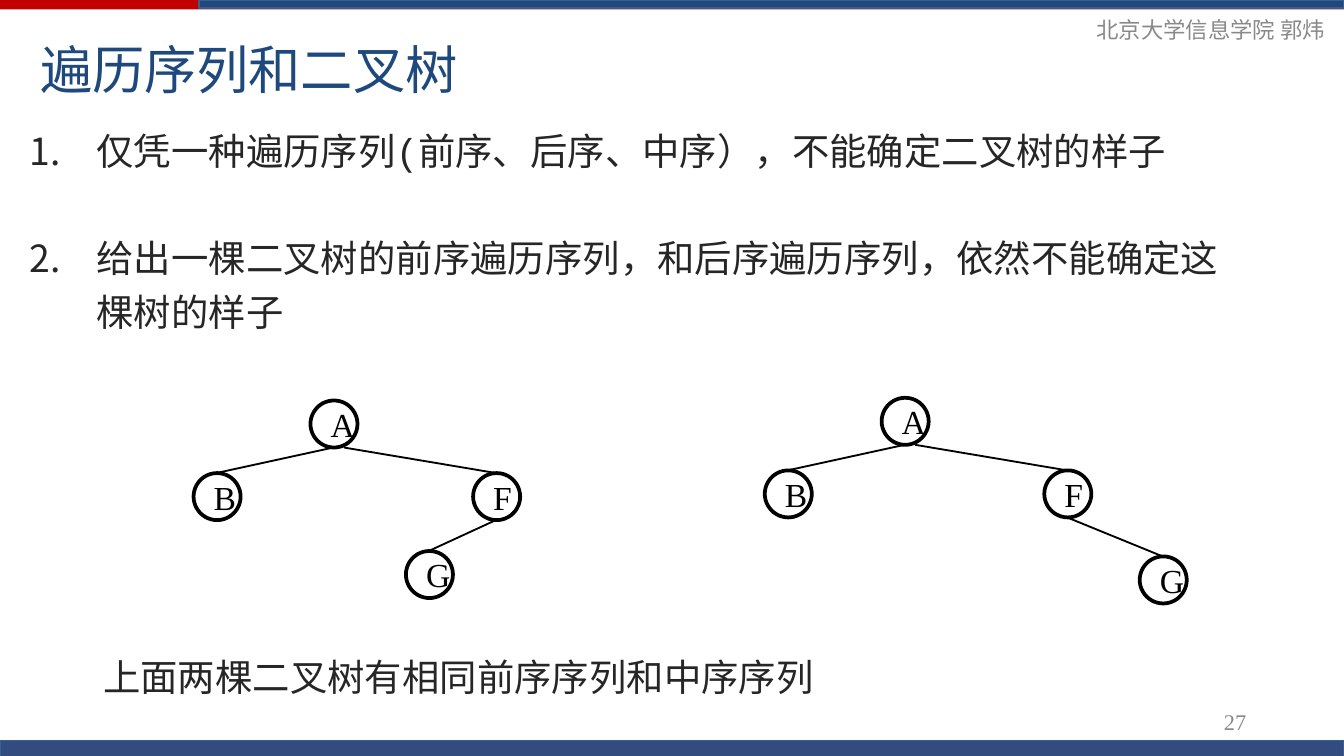
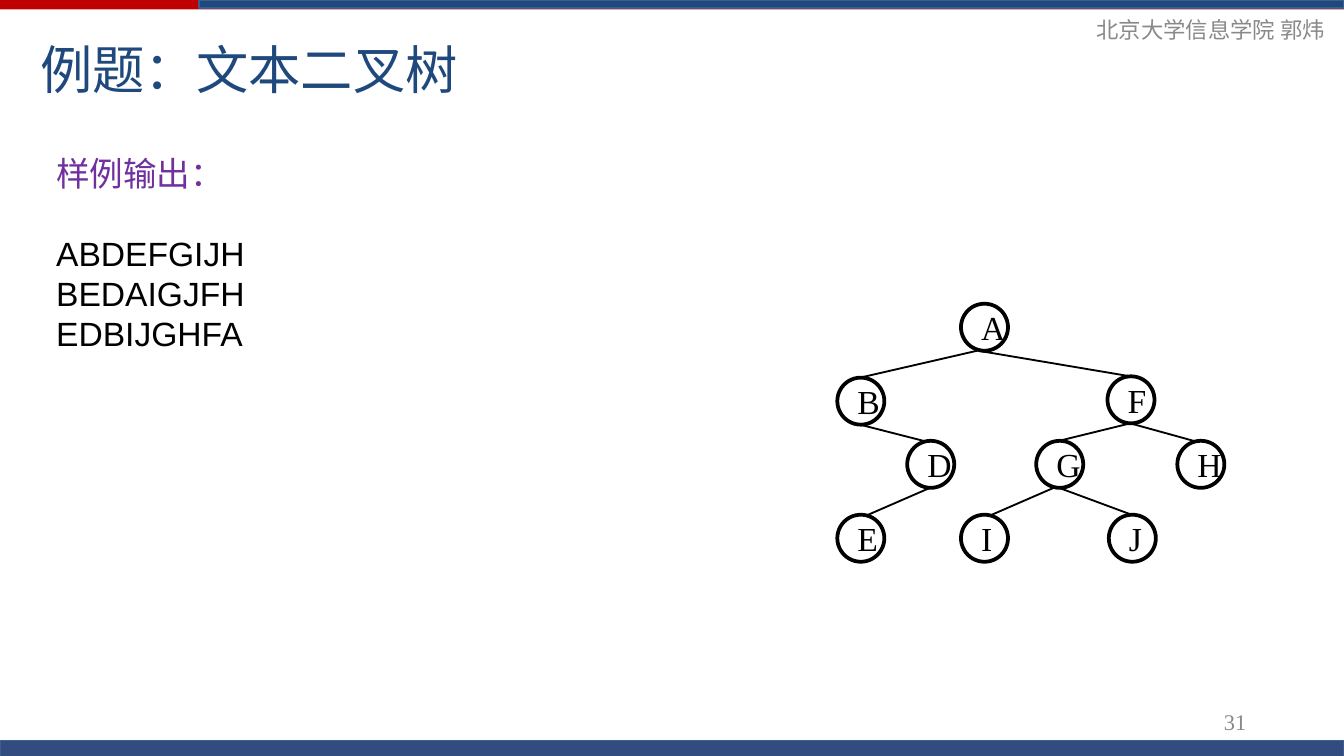
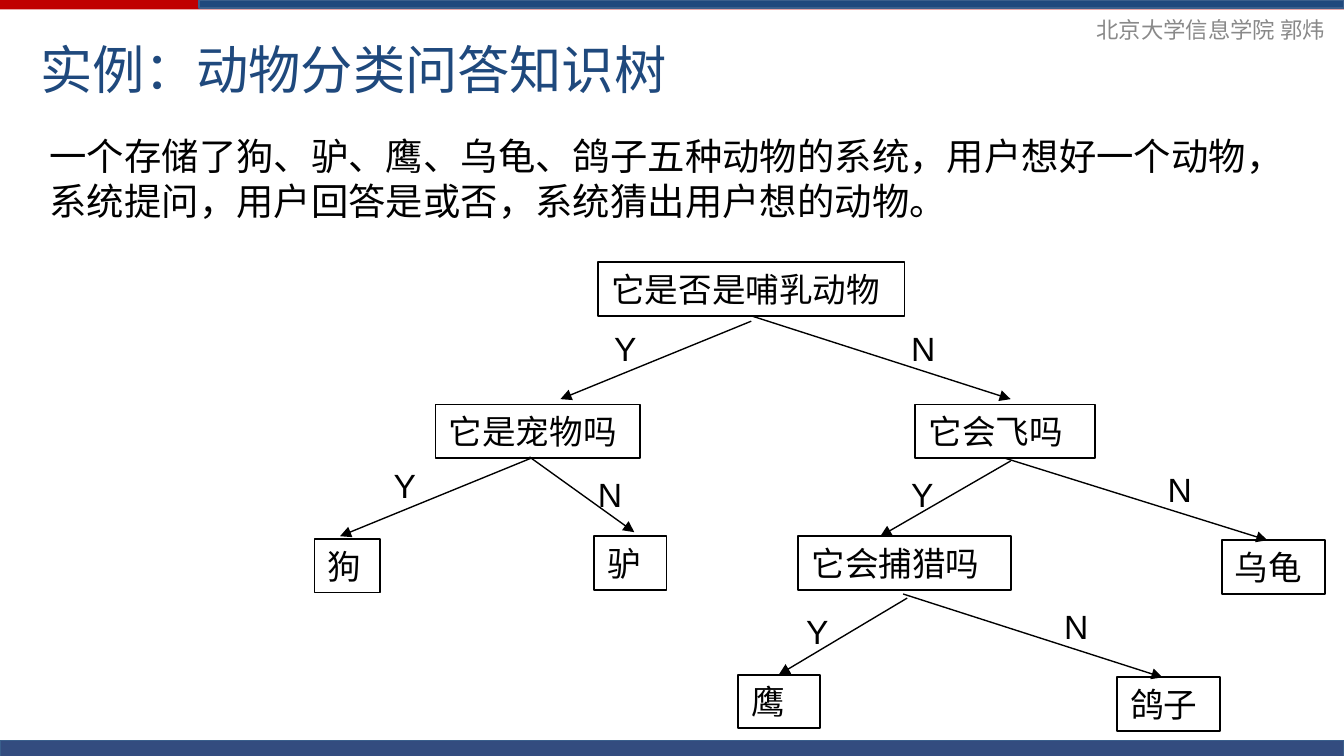
from dataclasses import dataclass

import lxml.etree
import pptx
import pptx.dml.color
import pptx.enum.shapes
import pptx.enum.text
import pptx.oxml.ns
import pptx.util

PX = 9144  # EMU per px, 100 px to the inch
SHAPES = pptx.enum.shapes.MSO_SHAPE
ALIGN = pptx.enum.text.PP_ALIGN
ANCHOR = pptx.enum.text.MSO_ANCHOR
TOP, BOTTOM = 0, 2  # connection sites of a rectangle


@dataclass(frozen=True)
class Theme:
    red: str = "C00000"
    blue: str = "1F497D"
    edge: str = "3A5F8C"
    navy: str = "002060"
    gray: str = "898989"
    ink: str = "262626"
    black: str = "000000"
    purple: str = "7030A0"
    sans: str = "Arial"
    serif: str = "Times New Roman"
    mono: str = "Courier New"
    chinese: str = "Noto Sans CJK SC"
    title_size: int = 28
    body_size: int = 20
    text_size: int = 18
    small_size: int = 12
    node_size: int = 35
    box_height: int = 40


def color(value):
    return pptx.dml.color.RGBColor.from_string(value)


def add_element(parent, tag, **attributes):
    return lxml.etree.SubElement(parent, pptx.oxml.ns.qn(tag), **attributes)


class Slides:
    def __init__(self, theme):
        self.theme = theme
        self.deck = pptx.Presentation()
        self.deck.slide_width = 1000 * PX
        self.deck.slide_height = pptx.util.Inches(5.625)
        self.page = None

    def new_page(self, title, number=None):
        theme = self.theme
        self.page = self.deck.slides.add_slide(self.deck.slide_layouts[6])
        # Bands
        self.band(0, 0, 1000, 7, theme.red)
        self.band(148, 0, 852, 6, theme.blue, theme.edge)
        self.band(0, 551, 1000, 12, theme.navy, theme.edge, opacity=80)
        # Header, title and page number
        small = dict(size=theme.small_size, font=theme.serif, ink=theme.gray,
                     anchor=ANCHOR.MIDDLE)
        self.text(763, 7, 233, 30, ["北京大学信息学院 郭炜"], align=ALIGN.RIGHT, **small)
        self.text(20, 14, 900, 74, [title], size=theme.title_size,
                  ink=theme.blue, anchor=ANCHOR.MIDDLE)
        if number:
            self.text(877, 522, 84, 30, [number], align=ALIGN.CENTER, **small)

    def shape(self, kind, left, top, width, height):
        shape = self.page.shapes.add_shape(
            kind, left * PX, top * PX, width * PX, height * PX)
        shape.shadow.inherit = False
        return shape

    def band(self, left, top, width, height, fill, line=None, opacity=None):
        band = self.shape(SHAPES.RECTANGLE, left, top, width, height)
        band.fill.solid()
        band.fill.fore_color.rgb = color(fill)
        if opacity:
            tint = band._element.spPr.find(".//" + pptx.oxml.ns.qn("a:srgbClr"))
            add_element(tint, "a:alpha", val=str(opacity * 1000))
        if line:
            band.line.color.rgb = color(line)
            band.line.width = pptx.util.Pt(0)
        else:
            band.line.fill.background()

    def outline(self, kind, left, top, width, height, weight):
        shape = self.shape(kind, left, top, width, height)
        shape.fill.background()
        shape.line.color.rgb = color(self.theme.black)
        shape.line.width = pptx.util.Pt(weight)
        return shape

    def fill_text(self, shape, lines, size=None, font=None, ink=None, align=ALIGN.LEFT,
                  anchor=ANCHOR.TOP, spacing=None, numbered=False):
        theme = self.theme
        frame = shape.text_frame
        frame.word_wrap = True
        frame.vertical_anchor = anchor
        for index, line in enumerate(lines):
            para = frame.paragraphs[0] if index == 0 else frame.add_paragraph()
            para.text = line
            para.alignment = align
            if spacing:
                para.line_spacing = spacing
            if numbered:
                properties = para._p.get_or_add_pPr()
                properties.set("marL", str(50 * PX))
                properties.set("indent", str(-50 * PX))
                add_element(properties, "a:buAutoNum", type="arabicPeriod")
            para.font.size = pptx.util.Pt(size or theme.text_size)
            para.font.name = font or theme.sans
            para.font.color.rgb = color(ink or theme.black)
        return frame.paragraphs

    def text(self, left, top, width, height, lines, **style):
        box = self.page.shapes.add_textbox(
            left * PX, top * PX, width * PX, height * PX)
        return self.fill_text(box, lines, **style)

    def box(self, left, top, width, label):
        box = self.outline(SHAPES.RECTANGLE, left, top, width, self.theme.box_height, 1)
        self.fill_text(box, [label])
        return box

    def node(self, left, top, label):
        size = self.theme.node_size
        node = self.outline(SHAPES.OVAL, left, top, size, size, 2)
        self.fill_text(node, [label], font=self.theme.serif, align=ALIGN.CENTER,
                       anchor=ANCHOR.MIDDLE)

    def line(self, start, end, weight=1, arrow=False):
        x1, y1, x2, y2 = (value * PX for value in (*start, *end))
        line = self.page.shapes.add_connector(
            pptx.enum.shapes.MSO_CONNECTOR.STRAIGHT, x1, y1, x2, y2)
        line.line.color.rgb = color(self.theme.black)
        line.line.width = pptx.util.Pt(weight)
        if arrow:
            outline = line._element.spPr.find(pptx.oxml.ns.qn("a:ln"))
            add_element(outline, "a:tailEnd", type="triangle")
        add_element(line._element.spPr, "a:effectLst")
        return line

    def tree(self, nodes, edges):
        """Edges are parent, child, then the sideways shift of each end."""
        size = self.theme.node_size
        for parent, child, start_shift, end_shift in edges:
            (x1, y1), (x2, y2) = nodes[parent], nodes[child]
            self.line((x1 + size // 2 + start_shift, y1 + size),
                      (x2 + size // 2 + end_shift, y2))
        for label, (left, top) in nodes.items():
            self.node(left, top, label)


def traversal_page(slides):
    theme = slides.theme
    body = dict(size=theme.body_size, font=theme.mono, ink=theme.ink, spacing=1.2)
    slides.new_page("遍历序列和二叉树", "27")
    paras = slides.text(12, 84, 916, 197, [
        "仅凭一种遍历序列(前序、后序、中序），不能确定二叉树的样子",
        "给出一棵二叉树的前序遍历序列，和后序遍历序列，依然不能确定这棵树的样子",
    ], numbered=True, **body)
    paras[1].space_before = pptx.util.Pt(28.5)

    # Two trees that differ only in the side of G
    for left, top, g_left, g_top in ((231, 298, 71, 112), (656, 296, 192, 118)):
        nodes = {
            "A": (left, top),
            "B": (left - 87, top + 54),
            "F": (left + 121, top + 54),
            "G": (left + g_left, top + g_top),
        }
        slides.tree(nodes, [("A", "B", 0, 0), ("A", "F", 8, 0), ("F", "G", 0, 0)])
    slides.text(67, 475, 966, 50, ["上面两棵二叉树有相同前序序列和中序序列"], **body)


def text_tree_page(slides):
    slides.new_page("例题：文本二叉树", "31")
    nodes = {
        "A": (715, 226),
        "B": (623, 281), "F": (824, 280),
        "D": (675, 328), "G": (771, 328), "H": (876, 328),
        "E": (623, 383), "I": (715, 383), "J": (825, 383),
    }
    slides.tree(nodes, [
        ("A", "B", -5, 0), ("A", "F", -4, 0),
        ("B", "D", 0, -5), ("D", "E", 0, 6),
        ("F", "G", 0, 0), ("F", "H", 0, -5),
        ("G", "I", -4, 6), ("G", "J", 0, 0),
    ])
    # Sample output
    paras = slides.text(32, 109, 500, 192,
                        ["样例输出：", "ABDEFGIJH", "BEDAIGJFH", "EDBIJGHFA"])
    paras[0].font.color.rgb = color(slides.theme.purple)
    paras[1].space_before = pptx.util.Pt(21)


def animal_page(slides):
    theme = slides.theme
    slides.new_page("实例：动物分类问答知识树")
    slides.text(27, 94, 946, 77, [
        "一个存储了狗、驴、鹰、乌龟、鸽子五种动物的系统，用户想好一个动物，",
        "系统提问，用户回答是或否，系统猜出用户想的动物。",
    ], size=theme.body_size, font=theme.chinese)

    # Questions and animals
    mammal = slides.box(445, 195, 228, "它是否是哺乳动物")
    slides.box(324, 301, 152, "它是宠物吗")
    flies = slides.box(681, 301, 134, "它会飞吗")
    slides.box(234, 401, 49, "狗")
    slides.box(442, 399, 54, "驴")
    slides.box(594, 399, 158, "它会捕猎吗")
    slides.box(909, 402, 77, "乌龟")
    eagle = slides.box(549, 502, 61, "鹰")
    slides.box(831, 504, 77, "鸽子")

    # Answers: start, end, label, label place, joined boxes
    answers = [
        ((559, 239), (417, 297), "Y", (447, 239), None, None),
        ((559, 235), (752, 297), "N", (668, 239), mammal, None),
        ((395, 341), (253, 399), "Y", (283, 341), None, None),
        ((394, 340), (472, 396), "N", (435, 348), None, None),
        ((752, 343), (655, 399), "Y", (668, 348), None, None),
        ((750, 340), (943, 402), "N", (859, 344), flies, None),
        ((675, 445), (577, 502), "Y", (590, 450), None, eagle),
        ((672, 442), (865, 504), "N", (782, 446), None, None),
    ]
    for start, end, label, (left, top), source, target in answers:
        arrow = slides.line(start, end, weight=0.75, arrow=True)
        if source:
            arrow.begin_connect(source, BOTTOM)
        if target:
            arrow.end_connect(target, TOP)
        slides.text(left, top, 39, theme.box_height, [label])


def main():
    slides = Slides(Theme())
    traversal_page(slides)
    text_tree_page(slides)
    animal_page(slides)
    slides.deck.save("out.pptx")


if __name__ == "__main__":
    main()
